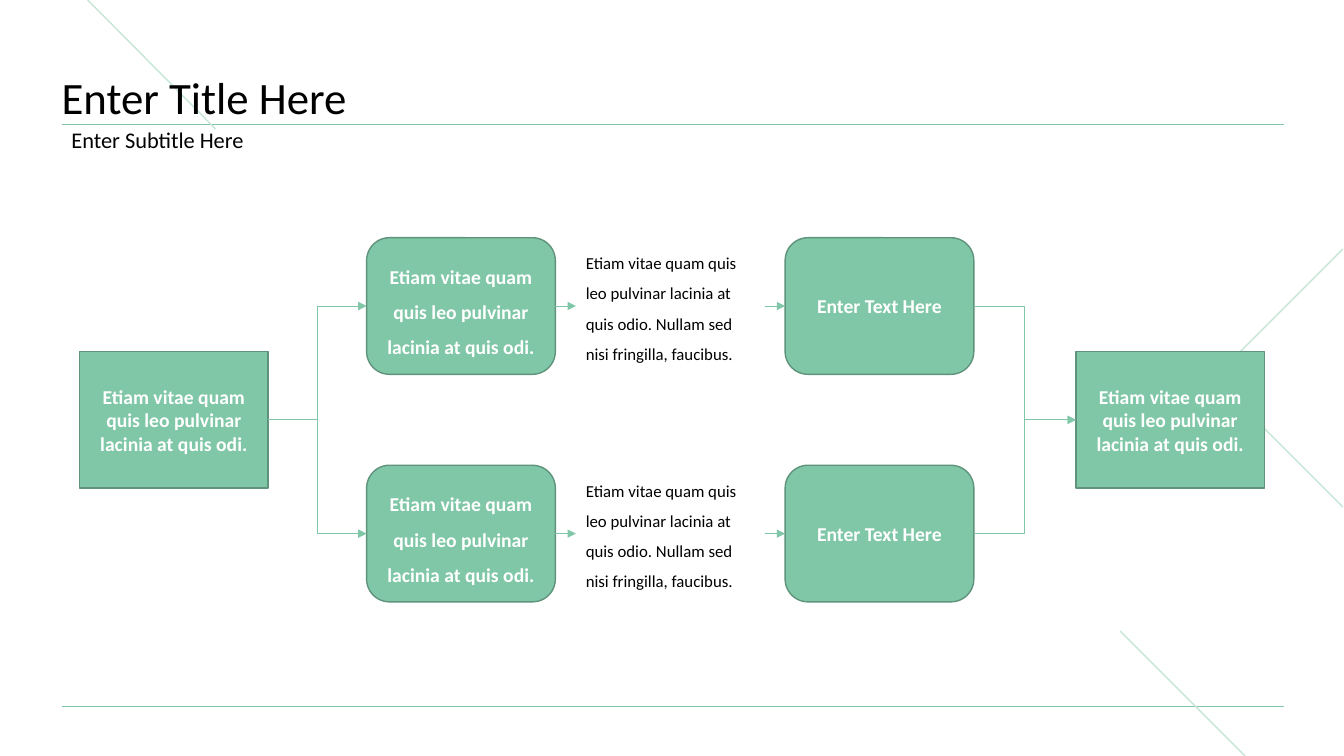
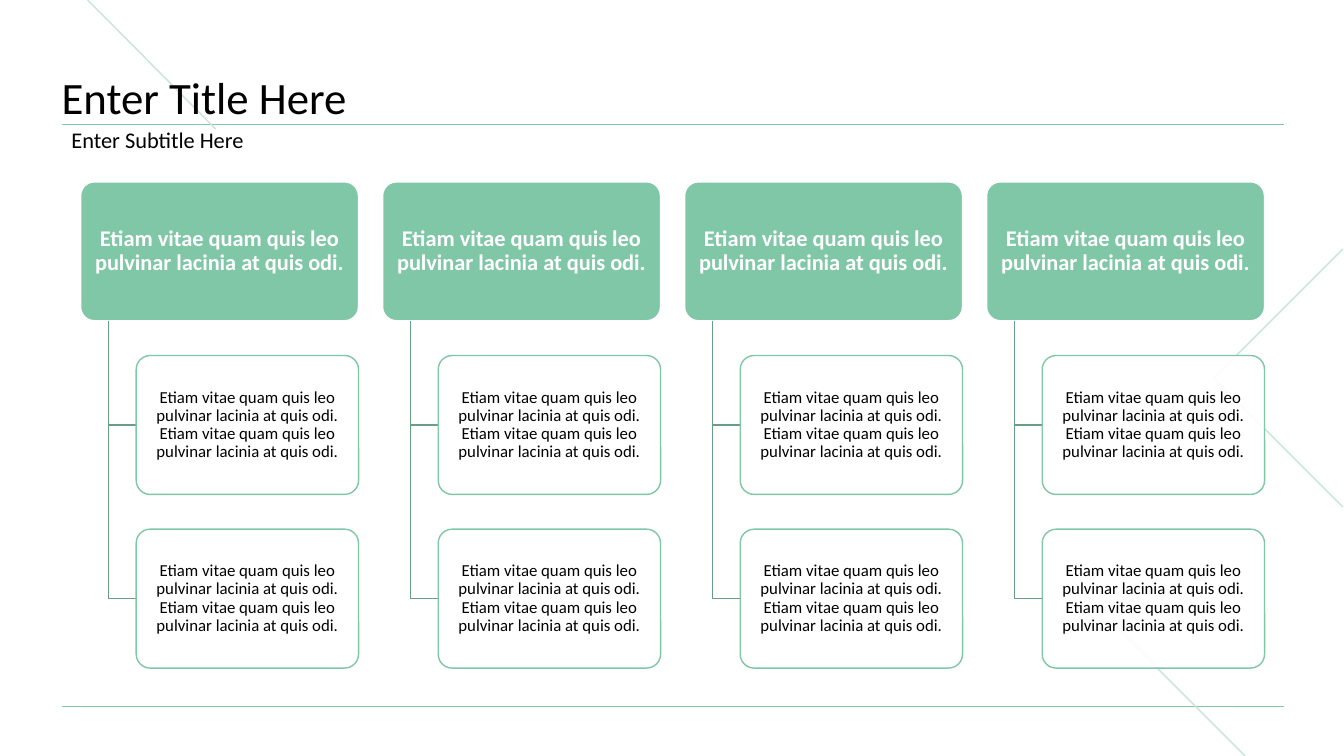
"""Two process slides; every length is a percentage of the slide's width or height."""
from dataclasses import dataclass
from typing import Optional

from lxml import etree
from pptx import Presentation
from pptx import util as u
from pptx.dml.color import RGBColor
from pptx.enum import shapes as sh, text as tx
from pptx.oxml.ns import qn

WIDTH, HEIGHT = u.Inches(13.33), u.Inches(7.5)


@dataclass(frozen=True)
class Theme:
    """Colours, type sizes and line widths of both slides."""
    font: str = "Calibri"
    green: str = "80C7A7"
    edge: str = "5F937C"
    branch: str = "679F86"
    pale: str = "C6E6D7"
    white: str = "FFFFFF"
    black: str = "000000"
    title: int = 32
    heading: int = 16
    label: int = 14
    body: int = 12
    hair: float = 0.5
    line: float = 1


@dataclass(frozen=True)
class Box:
    """A rectangle in shares of the slide."""
    left: float
    top: float
    width: float
    height: float

    def emu(self) -> tuple:
        """Left, top, width and height as lengths."""
        return (*at(self.left, self.top), *at(self.width, self.height))


@dataclass(frozen=True)
class TextStyle:
    """How the text of one kind of box is set."""
    size: int
    color: str
    bold: bool = False
    align: tx.PP_ALIGN = tx.PP_ALIGN.LEFT
    anchor: tx.MSO_ANCHOR = tx.MSO_ANCHOR.MIDDLE
    spacing: float = 1.0
    before: int = 0
    insets: tuple = (0.1, 0.05)


@dataclass(frozen=True)
class ShapeStyle:
    """Outline, fill and rounding of one kind of shape."""
    kind: sh.MSO_SHAPE
    fill: str
    line: str
    opacity: int = 100
    rounding: Optional[float] = None


T = Theme()
CENTER = tx.PP_ALIGN.CENTER
ROUND = sh.MSO_SHAPE.ROUNDED_RECTANGLE

TITLE = TextStyle(T.title, T.black, anchor=tx.MSO_ANCHOR.BOTTOM, spacing=0.9, insets=(0, 0))
SUBTITLE = TextStyle(T.heading, T.black, spacing=0.9, before=10)
LABEL = TextStyle(T.label, T.white, True, CENTER)
OPEN_LABEL = TextStyle(T.label, T.white, True, CENTER, spacing=1.5)
NOTE = TextStyle(T.body, T.black, anchor=tx.MSO_ANCHOR.TOP, spacing=1.5)
HEADING = TextStyle(T.heading, T.white, True, CENTER, spacing=0.9, insets=(0.09, 0.07))
CARD_TEXT = TextStyle(T.body, T.black, align=CENTER, spacing=0.9, insets=(0.08, 0.07))

TERMINAL = ShapeStyle(sh.MSO_SHAPE.RECTANGLE, T.green, T.edge)
STEP = ShapeStyle(ROUND, T.green, T.edge)
HEADER = ShapeStyle(ROUND, T.green, T.white, rounding=0.1)
CARD = ShapeStyle(ROUND, T.white, T.green, opacity=90, rounding=0.1)

PHRASE = "Etiam vitae quam quis leo pulvinar lacinia at quis odi."
DETAIL = ("Etiam vitae quam quis leo pulvinar lacinia at quis odio. "
          "Nullam sed nisi fringilla, faucibus.")


def at(x: float, y: float) -> tuple:
    """Turn shares of the slide into a pair of lengths."""
    return u.Emu(round(WIDTH * x / 100)), u.Emu(round(HEIGHT * y / 100))


def write(shape, words: str, style: TextStyle) -> None:
    """Set one paragraph of text in a shape."""
    tf = shape.text_frame
    tf.word_wrap = True
    tf.vertical_anchor = style.anchor
    tf.margin_left = tf.margin_right = u.Inches(style.insets[0])
    tf.margin_top = tf.margin_bottom = u.Inches(style.insets[1])
    p = tf.paragraphs[0]
    p.text = words
    p.alignment, p.line_spacing = style.align, style.spacing
    p.space_before = u.Pt(style.before)
    p.font.name, p.font.size, p.font.bold = T.font, u.Pt(style.size), style.bold
    p.font.color.rgb = RGBColor.from_string(style.color)


def stroke(shape, color: str, width: float) -> None:
    """Give a shape or connector a plain line."""
    shape.line.color.rgb = RGBColor.from_string(color)
    shape.line.width = u.Pt(width)


def add_text(s, box: Box, words: str, style: TextStyle):
    """Add a text box."""
    sp = s.shapes.add_textbox(*box.emu())
    write(sp, words, style)
    return sp


def add_box(s, box: Box, words: str, look: ShapeStyle, style: TextStyle):
    """Add a filled shape with text."""
    sp = s.shapes.add_shape(look.kind, *box.emu())
    sp.shadow.inherit = False
    sp.fill.solid()
    sp.fill.fore_color.rgb = RGBColor.from_string(look.fill)
    stroke(sp, look.line, T.line)
    if look.rounding is not None:
        sp.adjustments[0] = look.rounding
    if look.opacity < 100:
        color = sp.fill._xPr.find(f"{qn('a:solidFill')}/{qn('a:srgbClr')}")
        etree.SubElement(color, qn("a:alpha"), val=str(look.opacity * 1000))
    write(sp, words, style)
    return sp


def add_line(s, start: tuple, end: tuple, color: str, width: float,
             kind: sh.MSO_CONNECTOR = sh.MSO_CONNECTOR.STRAIGHT):
    """Add a connector without shadow."""
    line = s.shapes.add_connector(kind, *at(*start), *at(*end))
    stroke(line, color, width)
    etree.SubElement(line._element.spPr, qn("a:effectLst"))
    return line


def add_polyline(s, points: list, color: str) -> None:
    """Add an open, unfilled outline through the points."""
    first, *rest = [at(*point) for point in points]
    builder = s.shapes.build_freeform(*first)
    builder.add_line_segments(rest, close=False)
    sp = builder.convert_to_shape()
    sp.shadow.inherit = False
    sp.fill.background()
    stroke(sp, color, T.line)


def join(s, source, target) -> None:
    """Lead an elbow arrow from a shape's right side to another's left side."""
    arrow = add_line(s, (0, 0), (1, 1), T.green, T.hair, sh.MSO_CONNECTOR.ELBOW)
    arrow.begin_connect(source, 3)
    arrow.end_connect(target, 1)
    etree.SubElement(arrow.line._get_or_add_ln(), qn("a:tailEnd"), type="triangle")


def add_slide(prs):
    """Add a slide with the shared rules, decoration and titles."""
    s = prs.slides.add_slide(prs.slide_layouts[6])
    left, width, rule = 4.58, 90.92, 16.4
    for y in (93.47, rule):
        add_line(s, (left, y), (left + width, y), T.green, T.hair)
    for start, end in (((83.35, 83.47), (92.65, 100)), ((6.53, 0), (16.05, 17.07))):
        add_line(s, start, end, T.pale, T.line)
    add_polyline(s, [(99.92, 32.93), (90.32, 50), (99.92, 67.07)], T.pale)
    add_text(s, Box(left, 5.8, width, 10.65), "Enter Title Here", TITLE)
    add_text(s, Box(left, rule, width, 4.53), "Enter Subtitle Here", SUBTITLE)
    return s


def flow_slide(prs) -> None:
    """Draw a flow that splits into two rows and meets again."""
    s = add_slide(prs)
    width, height = 14.04, 18.07
    middle, row_offset = 46.5, 15.05
    first_step, pitch = 27.28, 15.57
    start = add_box(s, Box(5.92, middle, width, height), PHRASE, TERMINAL, LABEL)
    finish = add_box(s, Box(80.05, middle, width, height), PHRASE, TERMINAL, LABEL)
    for top in (middle - row_offset, middle + row_offset):
        opening, between, closing = (
            Box(first_step + i * pitch, top, width, height) for i in range(3))
        chain = [start,
                 add_box(s, opening, PHRASE, STEP, OPEN_LABEL),
                 add_text(s, between, DETAIL, NOTE),
                 add_box(s, closing, "Enter Text Here", STEP, LABEL),
                 finish]
        for source, target in zip(chain, chain[1:]):
            join(s, source, target)


def branch_slide(prs) -> None:
    """Draw four headers, each with two cards hanging from a trunk."""
    s = add_slide(prs)
    width, pitch, top = 20.68, 22.47, 24.05
    height = width / 2 * WIDTH / HEIGHT
    row_pitch, indent = height * 1.25, width / 10
    for column in range(4):
        left = 6 + column * pitch
        trunk, card_left = left + indent, left + 2 * indent
        add_box(s, Box(left, top, width, height), PHRASE, HEADER, HEADING)
        for row in (1, 2):
            card_top = top + row * row_pitch
            center = card_top + height / 2
            add_polyline(s, [(trunk, top + height), (trunk, center), (card_left, center)],
                         T.branch)
            add_box(s, Box(card_left, card_top, width - 2 * indent, height),
                    f"{PHRASE} {PHRASE}", CARD, CARD_TEXT)


def main() -> None:
    """Build and save the presentation."""
    prs = Presentation()
    prs.slide_width, prs.slide_height = WIDTH, HEIGHT
    flow_slide(prs)
    branch_slide(prs)
    prs.save("out.pptx")


main()
